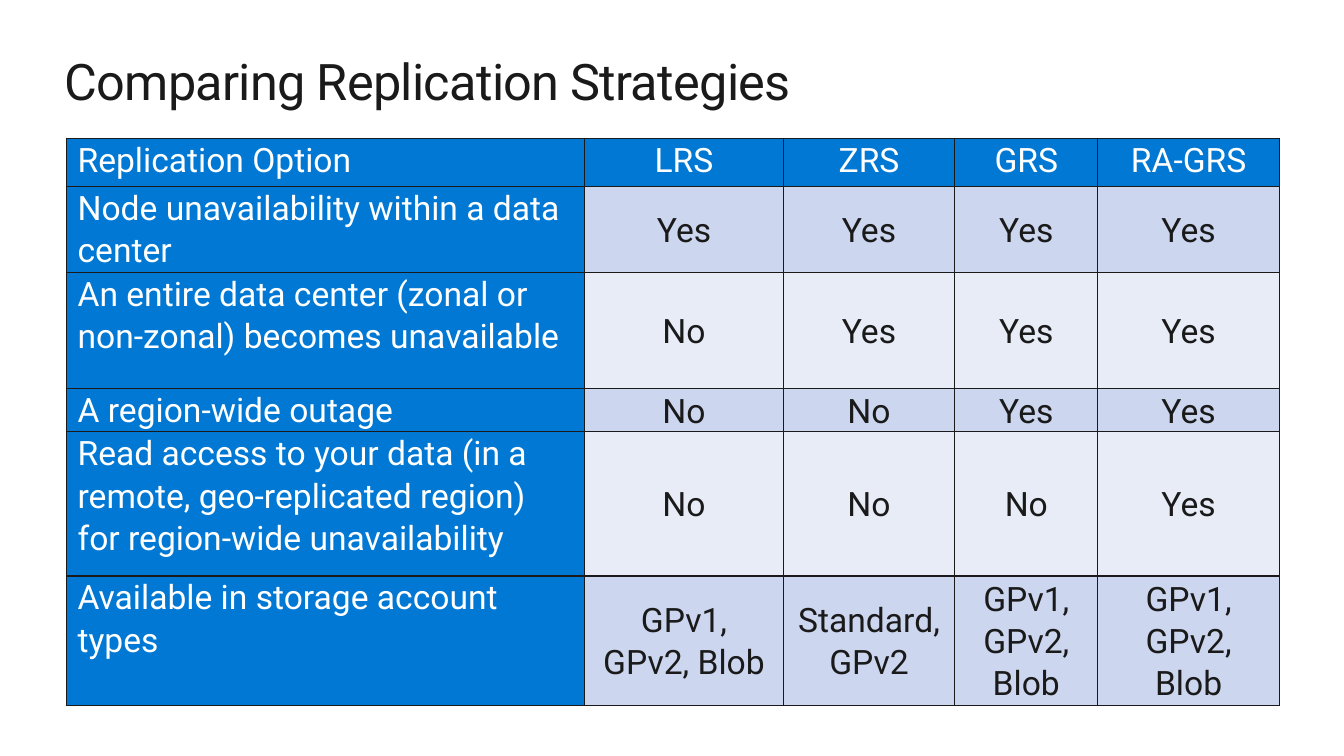
"""Build a slide with a table comparing storage replication strategies."""
import dataclasses

import lxml.etree
import pptx
import pptx.dml.color
import pptx.enum.text
import pptx.oxml.ns
import pptx.util

Inches = pptx.util.Inches
Pt = pptx.util.Pt
RGB = pptx.dml.color.RGBColor.from_string
ALIGN = pptx.enum.text.PP_ALIGN
ANCHOR = pptx.enum.text.MSO_ANCHOR


@dataclasses.dataclass(frozen=True)
class Theme:
    font: str = "Roboto"
    title_size: int = 36
    cell_size: int = 24
    ink: str = "1A1A1A"
    white: str = "FFFFFF"
    accent: str = "0078D4"
    bands: tuple = ("E7ECF7", "CCD6EF")


theme = Theme()


def style(paragraph, size, color):
    paragraph.font.name = theme.font
    paragraph.font.size = Pt(size)
    paragraph.font.color.rgb = RGB(color)


def add_borders(cell):
    properties = cell._tc.get_or_add_tcPr()
    for side in ("a:lnL", "a:lnR", "a:lnT", "a:lnB"):
        line = lxml.etree.SubElement(properties, pptx.oxml.ns.qn(side), w=str(Pt(1)))
        fill = lxml.etree.SubElement(line, pptx.oxml.ns.qn("a:solidFill"))
        lxml.etree.SubElement(fill, pptx.oxml.ns.qn("a:srgbClr"), val=theme.ink)


column_widths = [5.14, 1.97, 1.7, 1.42, 1.8]
row_heights = [0.48, 0.81, 1.15, 0.39, 1.43, 1.23]
strategies = [
    ["Replication Option", "LRS", "ZRS", "GRS", "RA-GRS"],
    ["Node unavailability within a data center", "Yes", "Yes", "Yes", "Yes"],
    ["An entire data center (zonal or non-zonal) becomes unavailable", "No", "Yes", "Yes", "Yes"],
    ["A region-wide outage", "No", "No", "Yes", "Yes"],
    ["Read access to your data (in a remote, geo-replicated region) for region-wide unavailability",
     "No", "No", "No", "Yes"],
    ["Available in storage account types", "GPv1, GPv2, Blob", "Standard,\nGPv2",
     "GPv1, GPv2, Blob", "GPv1, GPv2, Blob"],
]

presentation = pptx.Presentation()
presentation.slide_width = Inches(13.33)
presentation.slide_height = Inches(7.5)
slide = presentation.slides.add_slide(presentation.slide_layouts[6])

title = slide.shapes.add_textbox(Inches(0.64), Inches(0.5), Inches(12.05), Inches(0.61)).text_frame
title.word_wrap = True
title.margin_left = title.margin_right = title.margin_top = title.margin_bottom = 0
title.text = "Comparing Replication Strategies"
style(title.paragraphs[0], theme.title_size, theme.ink)
title.paragraphs[0].runs[0]._r.get_or_add_rPr().set("spc", "-50")

comparison = slide.shapes.add_table(
    len(row_heights), len(column_widths), Inches(0.66), Inches(1.37),
    Inches(sum(column_widths)), Inches(sum(row_heights))).table
comparison.first_row = False
comparison.horz_banding = False
for column, width in zip(comparison.columns, column_widths):
    column.width = Inches(width)
for row, height in zip(comparison.rows, row_heights):
    row.height = Inches(height)

for row_index, answers in enumerate(strategies):
    for column_index, answer in enumerate(answers):
        is_heading = row_index == 0 or column_index == 0
        cell = comparison.cell(row_index, column_index)
        cell.text = answer
        cell.margin_left = cell.margin_right = Inches(0.11)
        cell.margin_top = cell.margin_bottom = 0
        cell.vertical_anchor = ANCHOR.TOP if is_heading else ANCHOR.MIDDLE
        add_borders(cell)
        cell.fill.solid()
        cell.fill.fore_color.rgb = RGB(theme.accent if is_heading else theme.bands[row_index % 2])
        for paragraph in cell.text_frame.paragraphs:
            style(paragraph, theme.cell_size, theme.white if is_heading else theme.ink)
            paragraph.alignment = ALIGN.CENTER if column_index else ALIGN.LEFT
            paragraph.line_spacing = 1.07

presentation.save("out.pptx")
